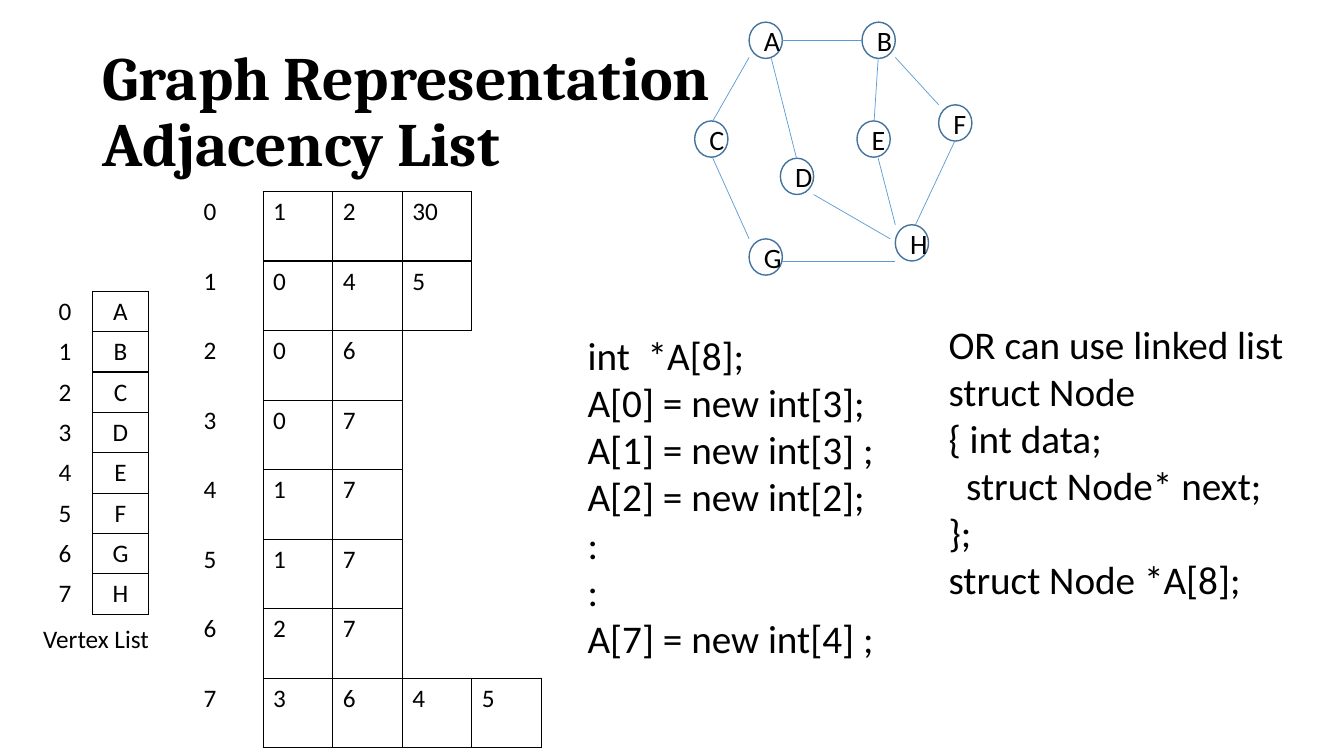
from lxml import etree
from pptx import Presentation
from pptx.dml.color import RGBColor
from pptx.enum.shapes import MSO_CONNECTOR, MSO_SHAPE
from pptx.enum.text import MSO_ANCHOR, PP_ALIGN
from pptx.oxml.ns import qn
from pptx.util import Inches, Pt

LINE = MSO_CONNECTOR.STRAIGHT
OVAL = MSO_SHAPE.OVAL
MIDDLE = MSO_ANCHOR.MIDDLE
TOP = MSO_ANCHOR.TOP
LEFT = PP_ALIGN.LEFT
CENTER = PP_ALIGN.CENTER

COLORS = {"ink": "000000", "ring": "43739E", "edge": "5B9BD5"}
NODE_W, NODE_H = 0.33, 0.36
SIDES = {"lnL": (0, -1), "lnR": (0, 1), "lnT": (-1, 0), "lnB": (1, 0)}

NODES = {
    "C": (6.89, 1.2), "D": (7.74, 1.57), "G": (7.43, 2.37), "E": (8.5, 1.2),
    "F": (9.31, 1.04), "H": (8.88, 2.23), "A": (7.43, 0.22), "B": (8.55, 0.22),
}
EDGES = [
    (7.43, 0.57, 7.07, 1.2), (7.76, 0.4, 8.55, 0.4),
    (8.88, 0.57, 9.31, 1.04), (8.71, 0.58, 8.67, 1.2),
    (7.65, 0.58, 7.9, 1.57), (9.47, 1.4, 9.08, 2.23),
    (8.88, 2.23, 8.71, 1.57), (8.83, 2.37, 8.07, 1.93),
    (8.88, 2.59, 7.76, 2.59), (7.43, 2.37, 7.07, 1.57),
]
LINKS = [(1, 2, 30), (0, 4, 5), (0, 6), (0, 7), (1, 7), (1, 7), (2, 7), (3, 6, 4, 5)]
ARRAY = [
    "int  *A[8];", "A[0] = new int[3];", "A[1] = new int[3] ;",
    "A[2] = new int[2];", ":", ":", "A[7] = new int[4] ;",
]
STRUCT = [
    "OR can use linked list", "struct Node", "{ int data;",
    "  struct Node* next;", "};", "struct Node *A[8];",
]


def color(name):
    return RGBColor.from_string(COLORS[name])


def write(frame, lines, size=18, font="Calibri", bold=False, align=LEFT, space=None):
    for i, line in enumerate(lines):
        para = frame.add_paragraph() if i else frame.paragraphs[0]
        para.text = line
        para.alignment = align
        para.line_spacing = space
        for run in para.runs:
            run.font.size = Pt(size)
            run.font.name = font
            run.font.bold = bold
            run.font.color.rgb = color("ink")


def add_text(slide, box, lines, anchor=TOP, **style):
    frame = slide.shapes.add_textbox(*map(Inches, box)).text_frame
    frame.word_wrap = True
    frame.vertical_anchor = anchor
    write(frame, lines, **style)


def add_node(group, label, left, top):
    node = group.shapes.add_shape(OVAL, *map(Inches, (left, top, NODE_W, NODE_H)))
    node.shadow.inherit = False
    node.fill.background()
    node.line.color.rgb = color("ring")
    node.line.width = Pt(1)
    node.text_frame.vertical_anchor = MIDDLE
    write(node.text_frame, [label], size=20, align=CENTER)


def add_edge(group, ends):
    edge = group.shapes.add_connector(LINE, *map(Inches, ends))
    edge.line.color.rgb = color("edge")
    edge.line.width = Pt(0.5)
    etree.SubElement(edge._element.spPr, qn("a:effectLst"))


def set_border(cell, drawn):
    props = cell._tc.get_or_add_tcPr()
    for i, side in enumerate(SIDES):
        line = etree.Element(qn("a:" + side), w=str(Pt(1)))
        if side in drawn:
            fill = etree.SubElement(line, qn("a:solidFill"))
            etree.SubElement(fill, qn("a:srgbClr"), val=COLORS["ink"])
        else:
            etree.SubElement(line, qn("a:noFill"))
        props.insert(i, line)


def add_grid(slide, left, top, width, height, rows, align=LEFT):
    count = max(map(len, rows))
    box = (left, top, width * count, height * len(rows))
    table = slide.shapes.add_table(len(rows), count, *map(Inches, box)).table
    table.first_row = table.horz_banding = False
    for col in table.columns:
        col.width = Inches(width)
    boxed = {(r, c) for r, row in enumerate(rows) for c in range(1, len(row))}
    for r, row in enumerate(rows):
        table.rows[r].height = Inches(height)
        for c in range(count):
            cell = table.cell(r, c)
            cell.fill.background()
            drawn = [side for side, (y, x) in SIDES.items()
                     if boxed & {(r, c), (r + y, c + x)}]
            set_border(cell, drawn)
            if c < len(row):
                write(cell.text_frame, [str(row[c])], align=align)


def main():
    deck = Presentation()
    deck.slide_width, deck.slide_height = Inches(13.33), Inches(7.5)
    slide = deck.slides.add_slide(deck.slide_layouts[6])
    add_text(slide, (0.92, 0.4, 11.5, 1.45), ["Graph Representation\vAdjacency List"],
             anchor=MIDDLE, size=44, font="Cambria", bold=True, space=0.9)
    names = list(enumerate(sorted(NODES)))
    add_grid(slide, 0.37, 2.89, 0.55, 0.4, names, align=CENTER)
    add_text(slide, (0.33, 6.13, 1.38, 0.4), ["Vertex List"])
    graph = slide.shapes.add_group_shape()
    for label, spot in NODES.items():
        add_node(graph, label, *spot)
    for ends in EDGES:
        add_edge(graph, ends)
    lists = [(i, *links) for i, links in enumerate(LINKS)]
    add_grid(slide, 1.92, 1.9, 0.69, 0.69, lists)
    add_text(slide, (5.73, 3.24, 3.1, 3.87), ARRAY, size=28)
    add_text(slide, (9.31, 3.13, 3.74, 3.87), STRUCT, size=28)
    deck.save("out.pptx")


main()
